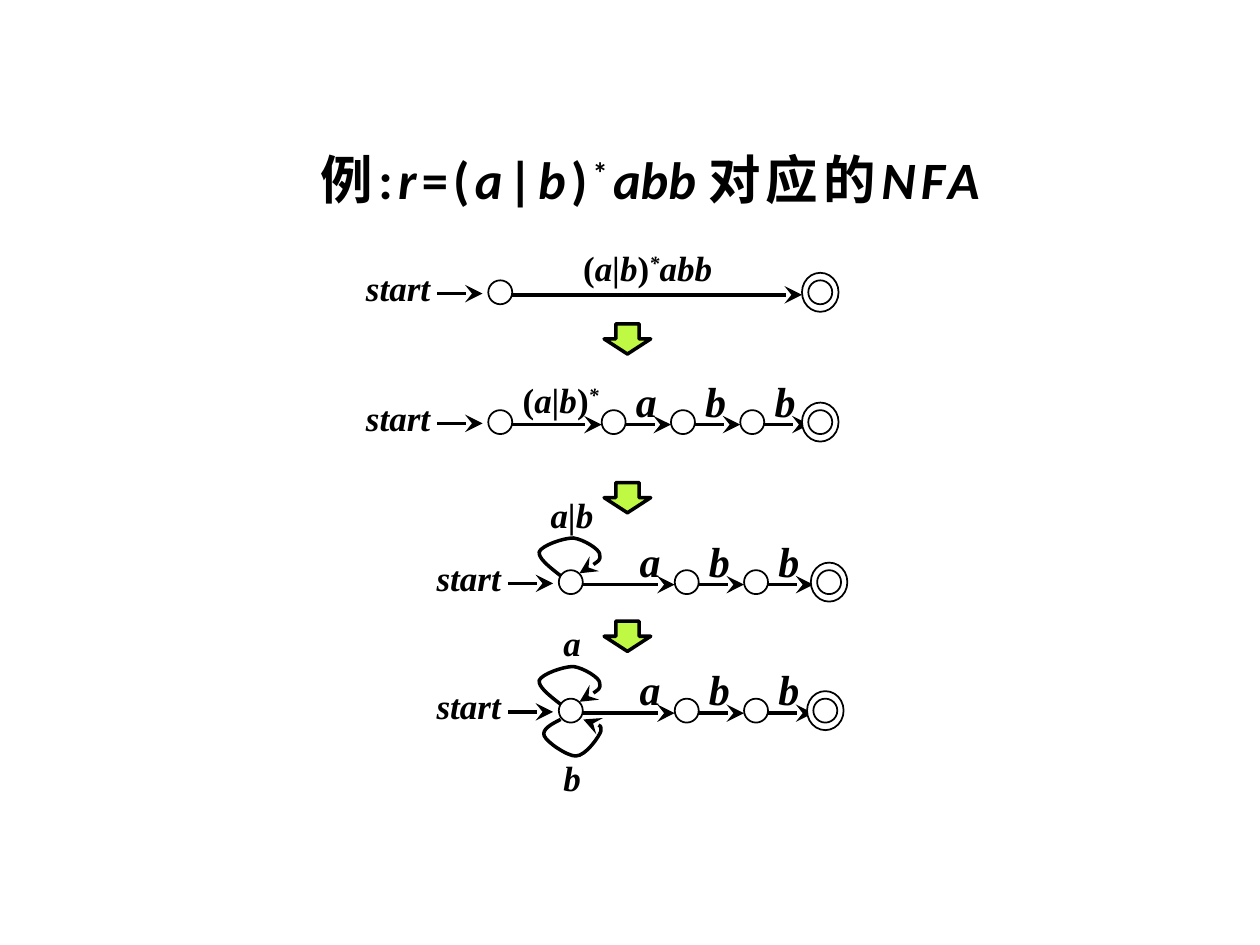
from pptx import Presentation
from pptx.dml.color import RGBColor
from pptx.enum.shapes import MSO_CONNECTOR as Connector, MSO_SHAPE as Shape
from pptx.enum.text import MSO_ANCHOR as Anchor, PP_ALIGN as Align
from pptx.oxml.ns import qn
from pptx.util import Inches, Pt
from lxml.etree import SubElement

WIDTH, HEIGHT = 10, 7.5
BLACK, WHITE, LIME = "000000", "FFFFFF", "BFF944"
STATE = 0.19                      # diameter of a state
STEP = 0.55                       # column width between neighbouring states
LEFT, RIGHT = 3.97, 4.53          # columns of the first state
ROWS = (2.32, 3.35, 4.62, 5.64)   # centre lines of the four automata

# Runs are (text, style): i = italic, s = superscript, t = tight spacing
STAR_GROUP = [("(", ""), ("a|b", "i"), (")", ""), ("*", "is")]
TITLE = [("例:", ""), ("r", "i"), ("=(", ""), ("a", "i"), ("|", ""), ("b", "i"),
         (")", ""), ("*", "s"), ("abb ", "it"), ("对应的", ""), ("NFA", "i")]

# Self-loops as Bezier points, measured from the centre of their state
UPPER_LOOP = [(-0.08, -0.05), (-0.17, -0.12), (-0.26, -0.19), (-0.25, -0.24),
              (-0.23, -0.29), (-0.06, -0.35), (0.02, -0.35), (0.1, -0.34),
              (0.23, -0.26), (0.23, -0.22), (0.24, -0.17), (0.16, -0.12), (0.07, -0.07)]
LOWER_LOOP = [(-0.08, 0.07), (-0.16, 0.11), (-0.23, 0.15), (-0.21, 0.2),
              (-0.19, 0.25), (-0.03, 0.36), (0.04, 0.36), (0.12, 0.36),
              (0.23, 0.2), (0.24, 0.16), (0.24, 0.11), (0.18, 0.08), (0.1, 0.07)]


def color(hex_string):
    return RGBColor.from_string(hex_string)


def add_text(shapes, center_x, center_y, runs, size, width=0.72, height=0.34,
             font="Times New Roman", spacing=0, wrap=False):
    box = shapes.add_textbox(Inches(center_x - width / 2), Inches(center_y - height / 2),
                             Inches(width), Inches(height))
    frame = box.text_frame
    frame.word_wrap = wrap
    frame.vertical_anchor = Anchor.MIDDLE
    frame.margin_left = frame.margin_right = frame.margin_top = frame.margin_bottom = 0
    paragraph = frame.paragraphs[0]
    paragraph.alignment = Align.CENTER
    paragraph.font.name = font
    for text, style in runs:
        run = paragraph.add_run()
        run.text = text
        run.font.name, run.font.size = font, Pt(size)
        run.font.bold, run.font.italic = True, "i" in style
        run.font.color.rgb = color(BLACK)
        properties = run.font._element
        if "s" in style:
            properties.set("baseline", "30000")
        if spacing and "t" not in style:
            properties.set("spc", str(spacing * 100))


def add_preset(shapes, kind, center_x, center_y, width, height, fill, line_width):
    shape = shapes.add_shape(kind, Inches(center_x - width / 2), Inches(center_y - height / 2),
                             Inches(width), Inches(height))
    shape.shadow.inherit = False
    shape.fill.solid()
    shape.fill.fore_color.rgb = color(fill)
    shape.line.color.rgb = color(BLACK)
    shape.line.width = Pt(line_width)


def add_state(shapes, x, y):
    add_preset(shapes, Shape.OVAL, x, y, STATE, STATE, WHITE, 1)


def add_final_state(shapes, x, y):
    add_preset(shapes, Shape.OVAL, x, y, 0.29, 0.31, WHITE, 1)
    add_state(shapes, x, y)


def style_arrow(shape):
    shape.line.color.rgb = color(BLACK)
    shape.line.width = Pt(2)
    SubElement(shape.line._get_or_add_ln(), qn("a:tailEnd"), type="stealth", w="lg", len="lg")


def add_arrow(shapes, start_x, end_x, y):
    arrow = shapes.add_connector(Connector.STRAIGHT, Inches(start_x), Inches(y),
                                 Inches(end_x), Inches(y))
    style_arrow(arrow)
    SubElement(arrow._element.spPr, qn("a:effectLst"))


def add_loop(shapes, x, y, points, label, label_offset):
    corners = [(Inches(x + dx), Inches(y + dy)) for dx, dy in points]
    builder = shapes.build_freeform(*corners[0])
    builder.add_line_segments(corners[1:], close=False)
    loop = builder.convert_to_shape()
    # Turn every three straight segments into one Bezier segment
    outline = next(loop._element.iter(qn("a:path")))
    segments = outline.findall(qn("a:lnTo"))
    for first in range(0, len(segments), 3):
        curve = SubElement(outline, qn("a:cubicBezTo"))
        for segment in segments[first:first + 3]:
            curve.append(segment[0])
            outline.remove(segment)
    loop.fill.background()
    style_arrow(loop)
    loop.shadow.inherit = False
    add_text(shapes, x + 0.01, y + label_offset, [(label, "i")], 20)


def add_letters(shapes, first_target, y):
    """Labels for the transitions a, b, b."""
    for column, letter in enumerate("abb"):
        add_text(shapes, first_target + column * STEP - 0.29, y - 0.17, [(letter, "i")], 24)


def add_automaton(slide, states, end, final, y, loops=()):
    """Start arrow, states with arrows between them, and the final state."""
    shapes = slide.shapes.add_group_shape().shapes
    first = states[0]
    add_text(shapes, first - 0.81, y - 0.04, [("start", "i")], 20)
    add_arrow(shapes, first - 0.5, first - 0.14, y + 0.01)
    if len(states) > 1:
        add_letters(shapes, end - 2 * STEP, y)
    for source, target in zip(states, states[1:] + [end]):
        add_arrow(shapes, source + STATE / 2, target - STATE / 2, y + 0.02)
    for x in states:
        add_state(shapes, x, y)
    for points, label, label_offset in loops:
        add_loop(shapes, first, y, points, label, label_offset)
    add_final_state(shapes, final, y)
    return shapes


def main():
    presentation = Presentation()
    presentation.slide_width, presentation.slide_height = Inches(WIDTH), Inches(HEIGHT)
    slide = presentation.slides.add_slide(presentation.slide_layouts[6])

    # Title
    add_text(slide.shapes, 5.16, 1.42, TITLE, 30, 8.67, 0.39, "Calibri", 3, True)

    # Whole expression on one transition
    whole = add_automaton(slide, [LEFT], 6.46, 6.51, ROWS[0])
    add_text(whole, 5.14, ROWS[0] - 0.2, STAR_GROUP + [("abb", "i")], 20, 1.08)

    # Concatenation split into states
    split_states = [LEFT] + [4.87 + column * STEP for column in range(3)]
    split = add_automaton(slide, split_states, 4.87 + 3 * STEP, 6.51, ROWS[1])
    add_text(split, 4.45, ROWS[1] - 0.18, STAR_GROUP, 20)

    # Closure turned into a loop, then alternatives into two loops
    loop_states = [RIGHT, 5.45, 5.45 + STEP]
    end = 5.45 + 2 * STEP
    add_automaton(slide, loop_states, end, 6.58, ROWS[2], [(UPPER_LOOP, "a|b", -0.54)])
    add_automaton(slide, loop_states, end, 6.55, ROWS[3],
                  [(UPPER_LOOP, "a", -0.54), (LOWER_LOOP, "b", 0.53)])

    # Arrows between the stages
    for y in (2.69, 3.95, 5.05):
        add_preset(slide.shapes, Shape.DOWN_ARROW, 4.98, y, 0.37, 0.24, LIME, 2)

    presentation.save("out.pptx")


main()
